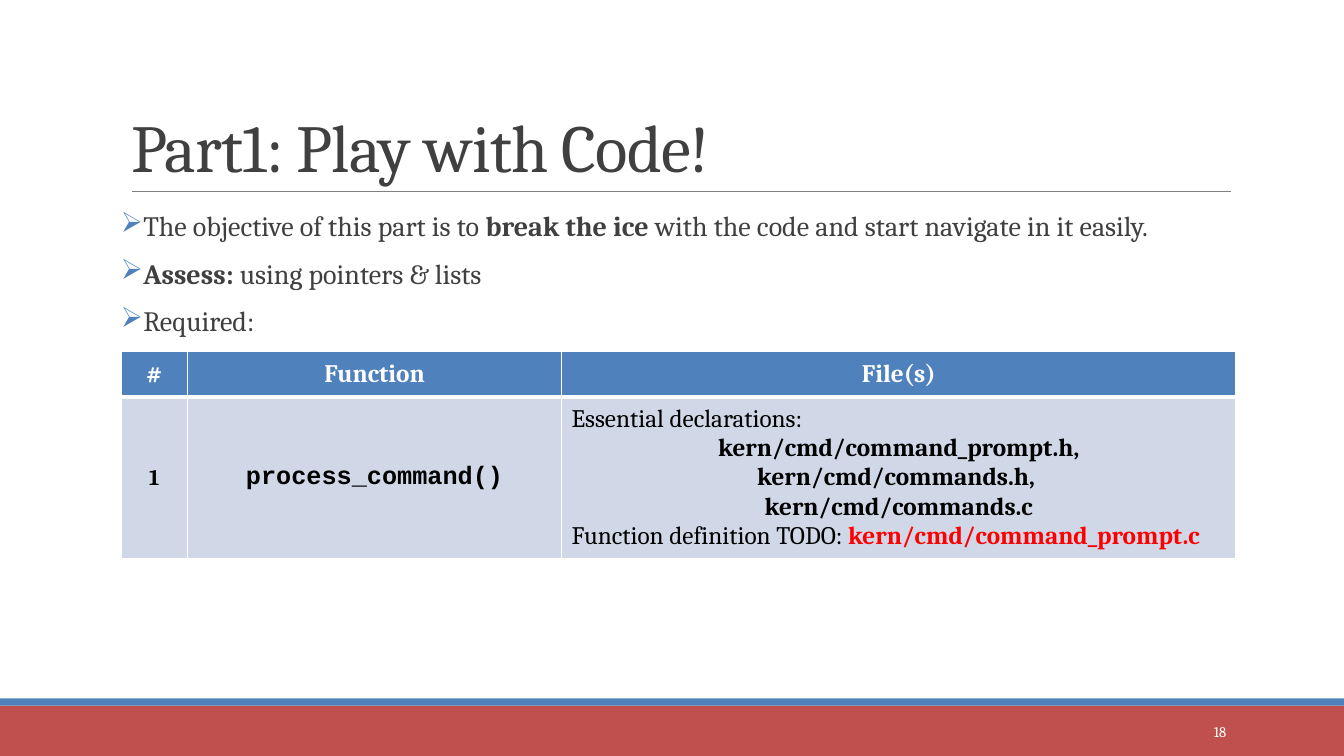
from dataclasses import dataclass
from lxml import etree
from pptx import Presentation, util as u
from pptx.dml.color import RGBColor
from pptx.enum import shapes, text
from pptx.oxml.ns import qn

TITLE = "Part1: Play with Code!"
PAGE = "18"
BULLETS = [
    [("The objective of this part is to ", False), ("break the ice ", True),
     ("with the code and start navigate in it easily.", False)],
    [("Assess:", True), (" using pointers & lists", False)],
    [("Required:", False)],
]
HEADER = ["#", "Function", "File(s)"]
INTRO = "Essential declarations:"
DECLARATIONS = ["kern/cmd/command_prompt.h,", "kern/cmd/commands.h, ", "kern/cmd/commands.c"]
TODO = ("Function definition TODO: ", "kern/cmd/command_prompt.c")


@dataclass(frozen=True)
class Theme:
    font: str = "Cambria"
    code: str = "Courier New"
    ink: str = "404040"
    blue: str = "4F81BD"
    red: str = "C0504D"
    pale: str = "D0D8E8"
    rule: str = "808080"
    white: str = "FFFFFF"
    black: str = "000000"
    alert: str = "FF0000"
    title: float = 48
    body: float = 20
    cell: float = 18
    number: float = 16
    page: float = 10.5


T = Theme()
W, H = 13.33, 7.5
LEFT, RIGHT = 1.2, 12.26
FOOT, STRIPE = 0.5, 0.07
COLS, ROWS = [0.66, 3.71, 6.69], [0.45, 1.46]
LEFT_AL, CENTER, RIGHT_AL = text.PP_ALIGN.LEFT, text.PP_ALIGN.CENTER, text.PP_ALIGN.RIGHT


def box(*lengths):
    return [u.Inches(v) for v in lengths]


def rgb(color):
    return RGBColor.from_string(color)


def add_run(p, words, size, color, bold=False, font=T.font):
    r = p.add_run()
    r.text = words
    r.font.size, r.font.bold, r.font.name = u.Pt(size), bold, font
    r.font.color.rgb = rgb(color)
    return r


def paragraphs(tf, count):
    return [tf.paragraphs[0]] + [tf.add_paragraph() for _ in range(count - 1)]


def add_band(s, top, height, color):
    sp = s.shapes.add_shape(shapes.MSO_SHAPE.RECTANGLE, *box(0, top, W, height))
    sp.shadow.inherit = False
    sp.fill.solid()
    sp.fill.fore_color.rgb = rgb(color)
    sp.line.fill.background()


def add_rule(s, x1, x2, y):
    line = s.shapes.add_connector(shapes.MSO_CONNECTOR.STRAIGHT, *box(x1, y, x2, y))
    line.line.color.rgb = rgb(T.rule)
    line.line.width = u.Pt(0.5)
    etree.SubElement(line._element.spPr, qn("a:effectLst"))


def add_title(s):
    sp = s.shapes.title
    sp.left, sp.top, sp.width, sp.height = box(LEFT, 0.31, W - LEFT, 1.59)
    tf = sp.text_frame
    tf.auto_size = text.MSO_AUTO_SIZE.NONE
    tf.vertical_anchor = text.MSO_ANCHOR.BOTTOM
    p = tf.paragraphs[0]
    p.alignment, p.line_spacing = LEFT_AL, 0.85
    r = add_run(p, TITLE, T.title, T.ink)
    r.font._element.set("spc", "-50")


def add_bullet(p):
    pPr = p._p.get_or_add_pPr()
    pPr.set("marL", str(u.Inches(0.1)))
    pPr.set("indent", str(-u.Inches(0.1)))
    color = etree.SubElement(pPr, qn("a:buClr"))
    etree.SubElement(color, qn("a:srgbClr"), val=T.blue)
    etree.SubElement(pPr, qn("a:buChar"), char="➢")


def add_body(s):
    tf = s.shapes.add_textbox(*box(LEFT, 2.02, 12.22, 1.5)).text_frame
    tf.word_wrap = True
    tf.margin_left = tf.margin_right = 0
    for p, runs in zip(paragraphs(tf, len(BULLETS)), BULLETS):
        p.space_before, p.space_after = u.Pt(8), u.Pt(2)
        add_bullet(p)
        for words, bold in runs:
            add_run(p, words, T.body, T.ink, bold)


def style_cell(cell, fill, top, bottom):
    tcPr = cell._tc.get_or_add_tcPr()
    for side, width in zip("LRTB", (1, 1, top, bottom)):
        ln = etree.SubElement(tcPr, qn(f"a:ln{side}"), w=str(u.Pt(width)))
        solid = etree.SubElement(ln, qn("a:solidFill"))
        etree.SubElement(solid, qn("a:srgbClr"), val=T.white)
    cell.fill.solid()
    cell.fill.fore_color.rgb = rgb(fill)
    cell.vertical_anchor = text.MSO_ANCHOR.MIDDLE


def add_table(s):
    frame = s.shapes.add_table(len(ROWS), len(COLS), *box(LEFT, 3.49, sum(COLS), sum(ROWS)))
    table = frame.table
    for col, width in zip(table.columns, COLS):
        col.width = u.Inches(width)
    for row, height in zip(table.rows, ROWS):
        row.height = u.Inches(height)

    intro = (LEFT_AL, [(INTRO, T.cell, T.black)])
    files = [(CENTER, [(name, T.cell, T.black, True)]) for name in DECLARATIONS]
    todo = (LEFT_AL, [(TODO[0], T.cell, T.black), (TODO[1], T.cell, T.alert, True)])
    rows = [
        [[(CENTER, [(name, T.cell, T.white, True)])] for name in HEADER],
        [[(CENTER, [("1", T.number, T.black, True)])],
         [(CENTER, [("process_command()", T.cell, T.black, True, T.code)])],
         [intro, *files, todo]],
    ]
    looks = [(T.blue, 1, 3), (T.pale, 3, 1)]
    for i, (row, look) in enumerate(zip(rows, looks)):
        for j, lines in enumerate(row):
            cell = table.cell(i, j)
            style_cell(cell, *look)
            for p, (align, runs) in zip(paragraphs(cell.text_frame, len(lines)), lines):
                p.alignment = align
                for run in runs:
                    add_run(p, *run)


def add_page(s):
    tf = s.shapes.add_textbox(*box(RIGHT - 1.43, 7.06, 1.43, 0.4)).text_frame
    tf.word_wrap = True
    tf.vertical_anchor = text.MSO_ANCHOR.MIDDLE
    p = tf.paragraphs[0]
    p.alignment = RIGHT_AL
    add_run(p, PAGE, T.page, T.white)


def main():
    prs = Presentation()
    prs.slide_width, prs.slide_height = box(W, H)
    s = prs.slides.add_slide(prs.slide_layouts[5])
    add_band(s, H - FOOT, FOOT, T.red)
    add_band(s, H - FOOT - STRIPE, STRIPE, T.blue)
    add_rule(s, 1.31, 12.21, 1.9)
    add_title(s)
    add_body(s)
    add_page(s)
    add_table(s)
    prs.save("out.pptx")


if __name__ == "__main__":
    main()
